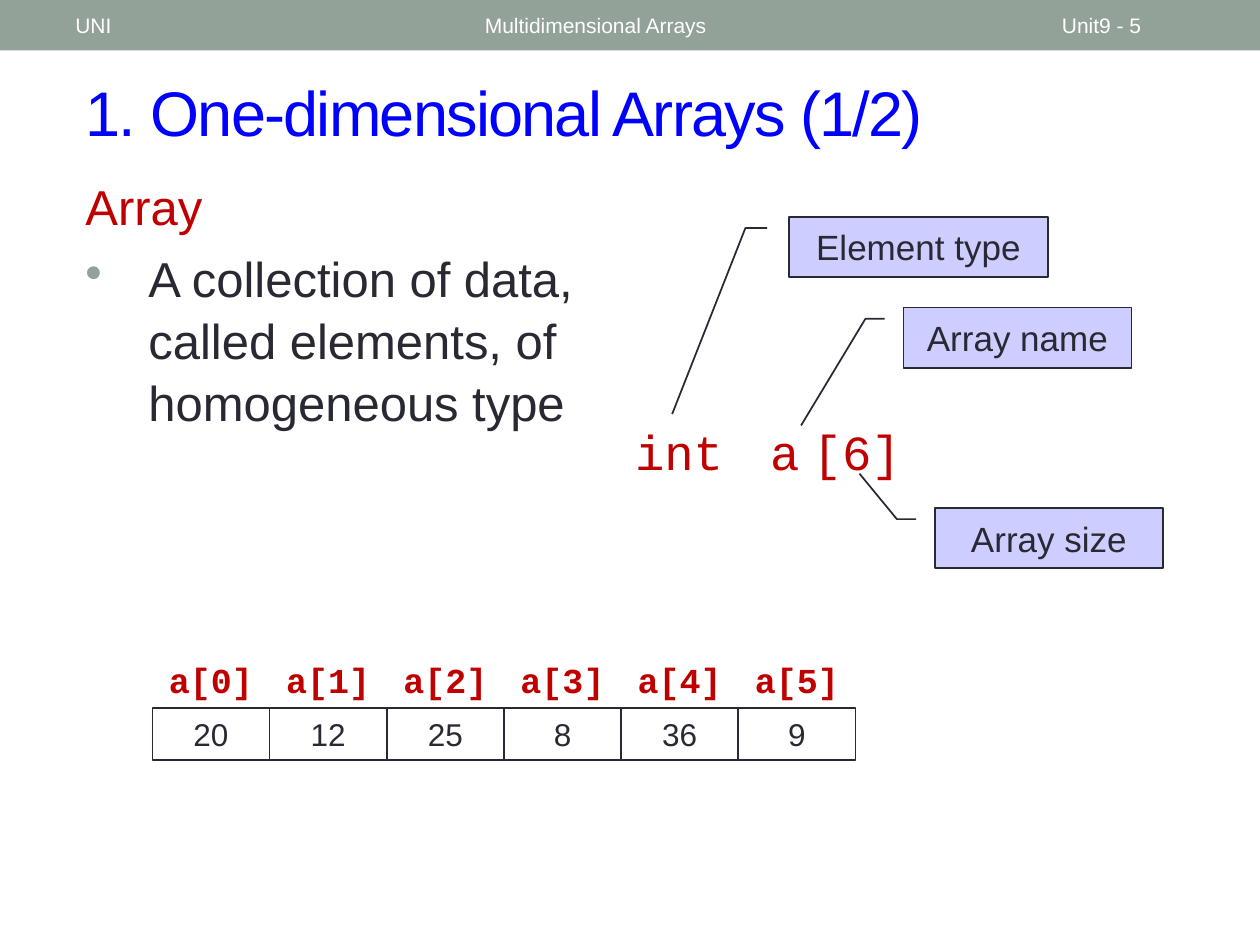
from pptx import Presentation
from pptx.dml.color import RGBColor
from pptx.enum.shapes import MSO_SHAPE as Preset
from pptx.enum.text import MSO_ANCHOR as Anchor, PP_ALIGN as Align
from pptx.oxml import parse_xml
from pptx.oxml.ns import nsdecls
from pptx.util import Inches, Pt

THEME = {
    "sans": "Arial", "mono": "Courier New",
    "band": "93A299", "title": "0000FF", "accent": "C00000", "ink": "292934",
    "callout": "CDCDFF", "white": "FFFFFF",
    "title_size": 36, "body_size": 28, "label_size": 20, "cell_size": 18, "header_size": 12,
}

TITLE = "1. One-dimensional Arrays (1/2)"
HEADER = [("UNI", 0.5, 3.17), ("Multidimensional Arrays", 3.75, 4.5), ("Unit9 - 5", 8.33, 1.17)]
TERM = "Array"
DEFINITION = "A collection of data, called elements, of homogeneous type"
DECLARATION = [("int", 4.92, 0.94), ("a", 5.86, 0.74), ("[6]", 6.33, 0.94)]
# text, left, top, width, pointer tip (y, x) as shares of the box
CALLOUTS = [
    ("Element type", 6.26, 1.72, 2.06, (3.263, -0.449)),
    ("Array name", 7.17, 2.44, 1.81, (1.953, -0.449)),
    ("Array size", 7.42, 4.03, 1.81, (-0.565, -0.331)),
]
VALUES = [20, 12, 25, 8, 36, 9]
ARRAY_LEFT, LABEL_TOP, CELL_TOP = 1.21, 5.18, 5.62
CELL_WIDTH, LABEL_HEIGHT, CELL_HEIGHT = 0.93, 0.44, 0.41


def colour(name):
    return RGBColor.from_string(THEME[name])


def box(left, top, width, height):
    return [Inches(n) for n in (left, top, width, height)]


def write(paragraph, text, size, ink, font="sans", bold=False, align=Align.LEFT):
    paragraph.alignment = align
    run = paragraph.add_run()
    run.text = text
    run.font.name = THEME[font]
    run.font.size = Pt(THEME[size])
    run.font.bold = bold
    run.font.color.rgb = colour(ink)
    return run


def add_text(shapes, place, text, size, ink, anchor=Anchor.TOP, **style):
    frame = shapes.add_textbox(*place).text_frame
    frame.word_wrap = True
    frame.vertical_anchor = anchor
    write(frame.paragraphs[0], text, size, ink, **style)
    return frame


def add_box(shapes, preset, place, fill=None, line=None):
    shape = shapes.add_shape(preset, *place)
    shape.shadow.inherit = False
    if fill:
        shape.fill.solid()
        shape.fill.fore_color.rgb = colour(fill)
    else:
        shape.fill.background()
    if line:
        shape.line.color.rgb = colour(line)
        shape.line.width = Pt(1)
    else:
        shape.line.fill.background()
    shape.text_frame.vertical_anchor = Anchor.MIDDLE
    return shape


def add_header(slide):
    add_box(slide.shapes, Preset.RECTANGLE, box(0, 0, 10, 0.4), "band")
    for text, left, width in HEADER:
        add_text(slide.shapes, box(left, 0.02, width, 0.36), text, "header_size", "white",
                 Anchor.MIDDLE)


def add_title(slide):
    title = slide.shapes.title
    title.left, title.top, title.width, title.height = box(0.58, 0.42, 9.17, 0.92)
    title.text_frame.vertical_anchor = Anchor.MIDDLE
    run = write(title.text_frame.paragraphs[0], TITLE, "title_size", "title")
    run.font._element.set("spc", "-100")


def add_definition(slide):
    frame = add_text(slide.shapes, box(0.58, 1.33, 4.23, 2.15), TERM, "body_size", "accent")
    bullet = frame.add_paragraph()
    write(bullet, DEFINITION, "body_size", "ink")
    for paragraph in frame.paragraphs:
        paragraph.space_before = Pt(6)
        paragraph.line_spacing = 1.05
        props = paragraph._p.get_or_add_pPr()
        props.set("marL", str(Inches(0.5)))
        props.set("indent", str(Inches(-0.5)))
    props = bullet._p.get_or_add_pPr()
    props.append(parse_xml(
        f'<a:buClr {nsdecls("a")}><a:srgbClr val="{THEME["band"]}"/></a:buClr>'))
    props.append(parse_xml(f'<a:buChar {nsdecls("a")} char="•"/>'))


def add_declaration(slide):
    for text, left, width in DECLARATION:
        add_text(slide.shapes, box(left, 3.3, width, 0.57), text, "body_size", "accent",
                 font="mono", align=Align.CENTER)
    for text, left, top, width, tip in CALLOUTS:
        callout = add_box(slide.shapes, Preset.LINE_CALLOUT_2, box(left, top, width, 0.48),
                          "callout", "ink")
        for i, share in enumerate((0.188, -0.083, 0.188, -0.167, *tip)):
            callout.adjustments[i] = share
        write(callout.text_frame.paragraphs[0], text, "label_size", "ink", align=Align.CENTER)


def add_array(slide):
    cells = slide.shapes.add_group_shape().shapes
    labels = slide.shapes.add_group_shape().shapes
    for i, value in enumerate(VALUES):
        left = ARRAY_LEFT + i * CELL_WIDTH
        cell = add_box(cells, Preset.RECTANGLE, box(left, CELL_TOP, CELL_WIDTH, CELL_HEIGHT),
                       line="ink")
        write(cell.text_frame.paragraphs[0], str(value), "cell_size", "ink", align=Align.CENTER)
        add_text(labels, box(left, LABEL_TOP, CELL_WIDTH, LABEL_HEIGHT), f"a[{i}]",
                 "label_size", "accent", font="mono", bold=True, align=Align.CENTER)


def main():
    deck = Presentation()
    deck.slide_width, deck.slide_height = Inches(10), Inches(7.5)
    slide = deck.slides.add_slide(deck.slide_layouts[5])
    for add_part in (add_header, add_title, add_definition, add_declaration, add_array):
        add_part(slide)
    deck.save("out.pptx")


if __name__ == "__main__":
    main()
